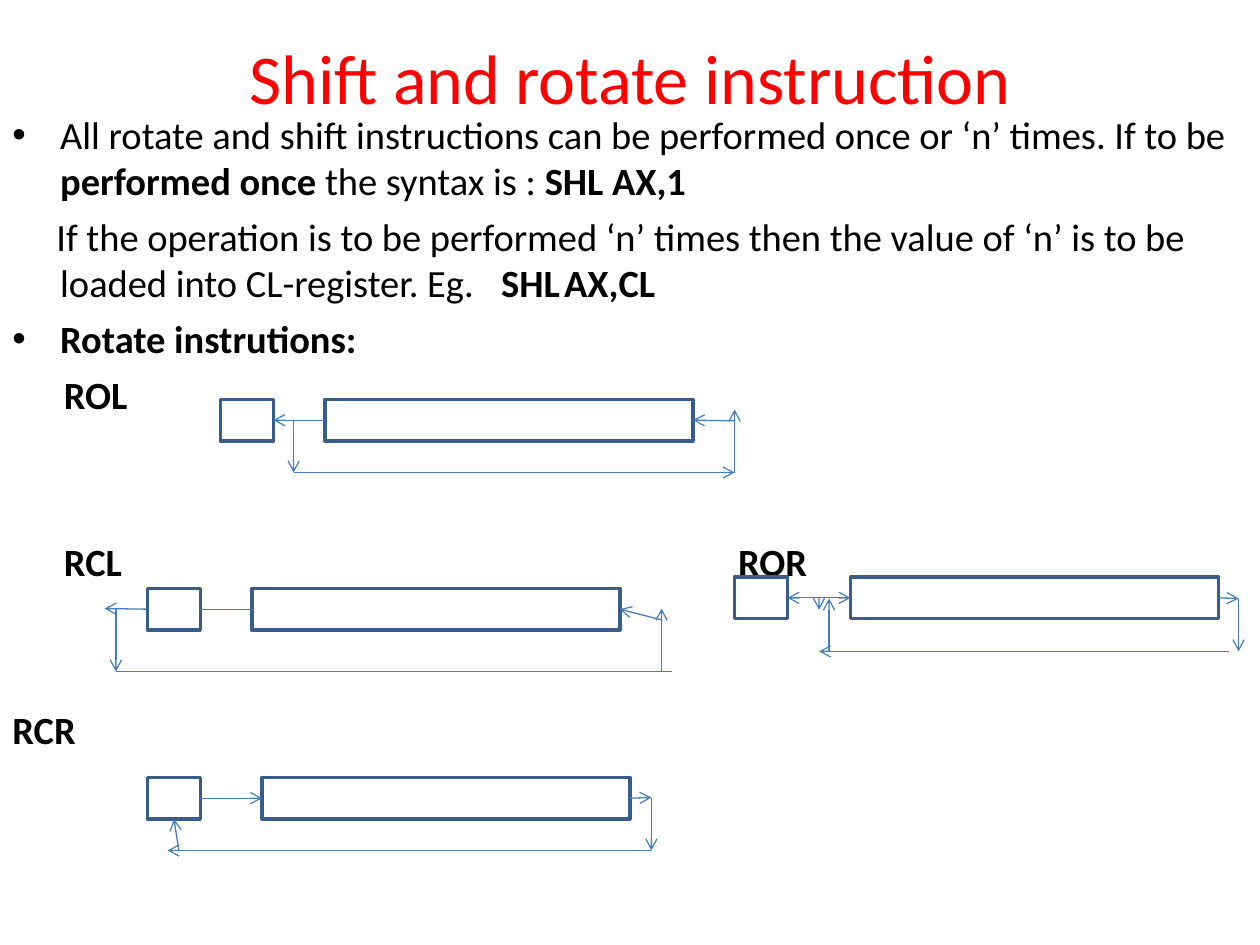
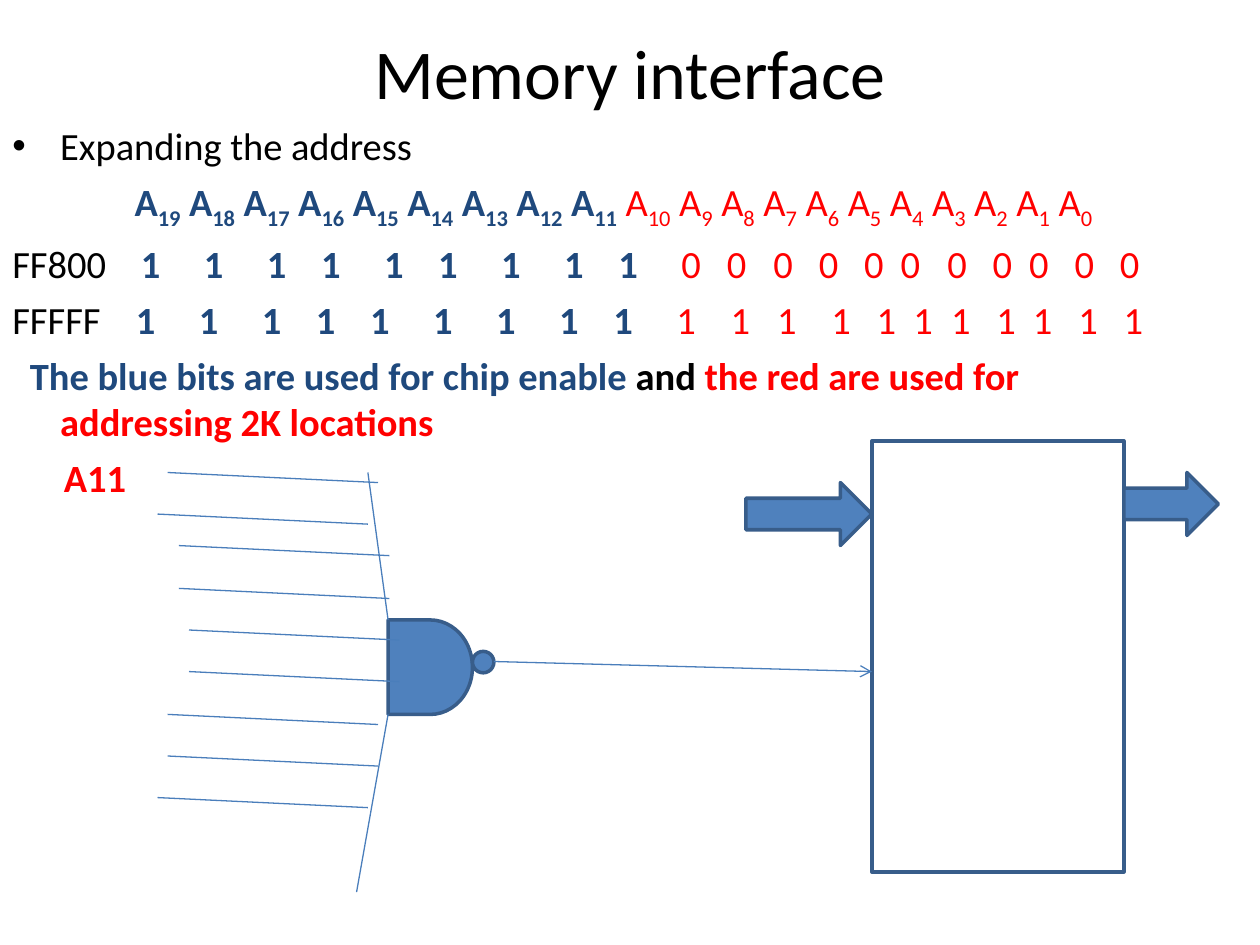
from dataclasses import dataclass
from itertools import accumulate

from pptx import Presentation
from pptx.dml.color import RGBColor as RGB
from pptx.enum.shapes import MSO_CONNECTOR as Link, MSO_SHAPE as Form
from pptx.enum.text import MSO_ANCHOR as Anchor, MSO_AUTO_SIZE as Fit, PP_ALIGN as Align
from pptx.oxml.ns import qn
from pptx.util import Inches, Pt
from lxml.etree import SubElement as Sub


@dataclass(frozen=True)
class Theme:
    font: str = "Calibri"
    black: RGB = RGB(0, 0, 0)
    red: RGB = RGB(255, 0, 0)
    navy: RGB = RGB(0x1F, 0x49, 0x7D)
    fill: RGB = RGB(0x4F, 0x81, 0xBD)
    edge: RGB = RGB(0x38, 0x5D, 0x8A)
    wire: RGB = RGB(0x4A, 0x7E, 0xBB)
    head: Pt = Pt(40)
    body: Pt = Pt(22)
    thick: Pt = Pt(2)
    thin: Pt = Pt(0.75)


@dataclass
class Run:
    text: str
    color: RGB = Theme.black
    bold: bool = False
    sub: bool = False


@dataclass
class Para:
    runs: list
    left: float = 0
    first: float = 0
    gap: float = 5.5
    bullet: bool = False
    stops: tuple = ()


HANG = 0.38
LABEL = 0.41
TOP, LEFT, BOTTOM, RIGHT = range(4)


class Deck:
    def __init__(self, theme):
        self.theme = theme
        self.prs = Presentation()
        self.prs.slide_width, self.prs.slide_height = Inches(10), Inches(7.5)
        self.slide = None

    def page(self, title, color, high):
        self.slide = self.prs.slides.add_slide(self.prs.slide_layouts[5])
        head = self.slide.shapes.title
        head.left, head.top = Inches(0.5), Inches(0.3)
        head.width, head.height = Inches(9), Inches(high)
        frame = head.text_frame
        frame.auto_size = Fit.NONE
        frame.vertical_anchor = Anchor.MIDDLE
        para = frame.paragraphs[0]
        para.alignment = Align.CENTER
        self.run(para, Run(title, color), self.theme.head)

    def run(self, para, item, size):
        run = para.add_run()
        run.text = item.text
        font = run.font
        font.name, font.size, font.bold = self.theme.font, size, item.bold
        font.color.rgb = item.color
        if item.sub:
            run._r.get_or_add_rPr().set("baseline", "-25000")

    def text(self, x, y, w, h, paras):
        box = self.slide.shapes.add_textbox(*map(Inches, (x, y, w, h)))
        frame = box.text_frame
        frame.word_wrap = True
        for n, item in enumerate(paras):
            para = frame.add_paragraph() if n else frame.paragraphs[0]
            self.shape_para(para, item)
            if n:
                para.space_before = Pt(item.gap)
            for run in item.runs:
                self.run(para, run, self.theme.body)

    def shape_para(self, para, item):
        """Set indents, bullet and tab stops."""
        props = para._p.get_or_add_pPr()
        if item.left:
            props.set("marL", str(Inches(item.left)))
            props.set("indent", str(Inches(item.first)))
        if item.bullet:
            Sub(props, qn("a:buFont")).set("typeface", "Arial")
            Sub(props, qn("a:buChar")).set("char", "•")
        if item.stops:
            tabs = Sub(props, qn("a:tabLst"))
            for stop in item.stops:
                Sub(tabs, qn("a:tab"), pos=str(Inches(stop)), algn="l")

    def block(self, form, x, y, w, h, fill=None):
        shape = self.slide.shapes.add_shape(form, *map(Inches, (x, y, w, h)))
        shape.shadow.inherit = False
        if fill is None:
            shape.fill.background()
        else:
            shape.fill.solid()
            shape.fill.fore_color.rgb = fill
        shape.line.color.rgb = self.theme.edge
        shape.line.width = self.theme.thick
        return shape

    def wire(self, start, end, head=False, tail=True):
        """Draw a line; each end is a point (x, y) or a join (shape, side)."""
        spots, joins = [], []
        for a, b in (start, end):
            point = isinstance(a, (int, float))
            spots += [Inches(a), Inches(b)] if point else [a.left, a.top]
            joins.append(None if point else (a, b))
        line = self.slide.shapes.add_connector(Link.STRAIGHT, *spots)
        if joins[0]:
            line.begin_connect(*joins[0])
        if joins[1]:
            line.end_connect(*joins[1])
        line.line.color.rgb = self.theme.wire
        line.line.width = self.theme.thin
        stroke = line.line._get_or_add_ln()
        for tag, wanted in (("a:headEnd", head), ("a:tailEnd", tail)):
            if wanted:
                Sub(stroke, qn(tag)).set("type", "arrow")
        Sub(line._element.spPr, qn("a:effectLst"))

    def trail(self, *spots):
        """Draw arrows from each spot to the next."""
        for start, end in zip(spots, spots[1:]):
            self.wire(start, end)

    def cells(self, carry, word, y):
        """Draw the carry bit and the register word."""
        return [self.block(Form.RECTANGLE, x, y, w, 0.33)
                for x, w in ((carry, 0.42), (word, 2.92))]


def rotate(deck):
    deck.page("Shift and rotate instruction", Theme.red, 0.62)

    def label(name, left=LABEL, gap=5.5):
        return Para([Run(name, bold=True)], left=left, gap=gap)

    skip = 69.5
    deck.text(0, 0.83, 10, 6.42, [
        Para([Run("All rotate and shift instructions can be performed once or ‘n’ times. If to be"),
              Run(" performed once", bold=True), Run(" the syntax is : "),
              Run("SHL AX,1", bold=True)], HANG, -HANG, bullet=True),
        Para([Run("If the operation is to be performed ‘n’ times then the value of ‘n’ is to be "
                  "loaded into CL-register. Eg.\t"),
              Run("SHL\tAX,CL", bold=True)], HANG, -0.03, stops=(4.14, 4.95)),
        Para([Run("Rotate instrutions:", bold=True)], HANG, -HANG, bullet=True),
        label("ROL"), label("RCL", gap=skip), label("RCR", 0, skip),
    ])
    deck.text(5.76, 4.22, 1, 0.47, [label("ROR", 0)])

    carry, word = deck.cells(1.75, 2.58, 3.17)
    deck.wire((word, LEFT), (carry, RIGHT))
    deck.trail((2.33, 3.34), (2.33, 3.75), (5.83, 3.75), (5.83, 3.25))
    deck.wire((5.83, 3.34), (word, RIGHT))

    carry, word = deck.cells(1.17, 2, 4.67)
    deck.wire((word, LEFT), (carry, RIGHT), tail=False)
    deck.wire((0.92, 5.33), (5.33, 5.33), tail=False)
    deck.wire((carry, LEFT), (0.83, 4.83))
    deck.wire((0.92, 4.83), (0.92, 5.33))
    deck.wire((5.25, 5.33), (5.25, 4.83))
    deck.wire((5.25, 4.92), (word, RIGHT))

    carry, word = deck.cells(5.83, 6.75, 4.58)
    deck.wire((carry, RIGHT), (word, LEFT), head=True)
    deck.trail((word, RIGHT), (9.83, 4.75), (9.83, 5.17))
    deck.wire((9.75, 5.17), (6.5, 5.17))
    deck.wire((6.58, 5.17), (6.58, 4.75))
    deck.wire((6.5, 4.75), (6.5, 4.84))

    carry, word = deck.cells(1.17, 2.08, 6.17)
    deck.wire((carry, RIGHT), (word, LEFT))
    deck.trail((word, RIGHT), (5.17, 6.33), (5.17, 6.75), (1.33, 6.75))
    deck.wire((1.42, 6.75), (carry, BOTTOM))


def lines():
    """Name the address lines A19 to A0, chip enable bits in blue."""
    runs = []
    for n in range(19, -1, -1):
        chip = n > 10
        color = Theme.navy if chip else Theme.red
        runs.append(Run("A" if n == 19 else " A", color, chip))
        runs.append(Run(str(n), color, chip, sub=True))
    return Para(runs, left=0.97)


def bits(name, low, start, gaps):
    """Lay out one address; gaps count the space widths between its bits."""
    digit, space = 0.155, 0.069
    steps = (digit + space * int(gap) for gap in gaps)
    stops = tuple(round(x, 2) for x in accumulate(steps, initial=start))
    return Para([Run(name), Run("\t1" * 9, Theme.navy, True),
                 Run(f"\t{low}" * 11, Theme.red)], stops=stops)


def memory(deck):
    deck.page("Memory interface", Theme.black, 0.53)
    deck.text(0, 0.92, 9.5, 6.25, [
        Para([Run("Expanding the address")], HANG, -HANG, bullet=True),
        lines(),
        bits("FF800", 0, 1.02, "5545455453333233233"),
        bits("FFFFF", 1, 0.98, "5544555454343223233"),
        Para([Run("The blue bits are used for chip enable ", Theme.navy, True),
              Run("and", bold=True),
              Run(" the red are used for addressing 2K locations", Theme.red, True)],
             HANG, -0.24),
        Para([Run("A11", Theme.red, True)], LABEL),
    ])

    fill = Theme.fill
    deck.block(Form.FLOWCHART_DELAY, 3.08, 4.92, 0.67, 0.75, fill)
    deck.block(Form.OVAL, 3.75, 5.17, 0.17, 0.17, fill)
    deck.wire((2.92, 3.75), (3.08, 4.92), tail=False)
    deck.wire((3.08, 5.67), (2.83, 7.08), tail=False)
    deck.block(Form.RECTANGLE, 6.92, 3.5, 2, 3.42)
    inputs = ((1.33, 3.75), (1.25, 4.08), (1.42, 4.33), (1.42, 4.67), (1.5, 5),
              (1.5, 5.33), (1.33, 5.67), (1.33, 6), (1.25, 6.33))
    for x, y in inputs:
        deck.wire((x, y), (x + 1.67, y + 0.08), tail=False)
    deck.wire((3.92, 5.25), (6.92, 5.33))
    deck.block(Form.RIGHT_ARROW, 5.92, 3.83, 1, 0.5, fill)
    deck.block(Form.RIGHT_ARROW, 8.92, 3.75, 0.75, 0.5, fill)


def main():
    deck = Deck(Theme())
    rotate(deck)
    memory(deck)
    deck.prs.save("out.pptx")


if __name__ == "__main__":
    main()
